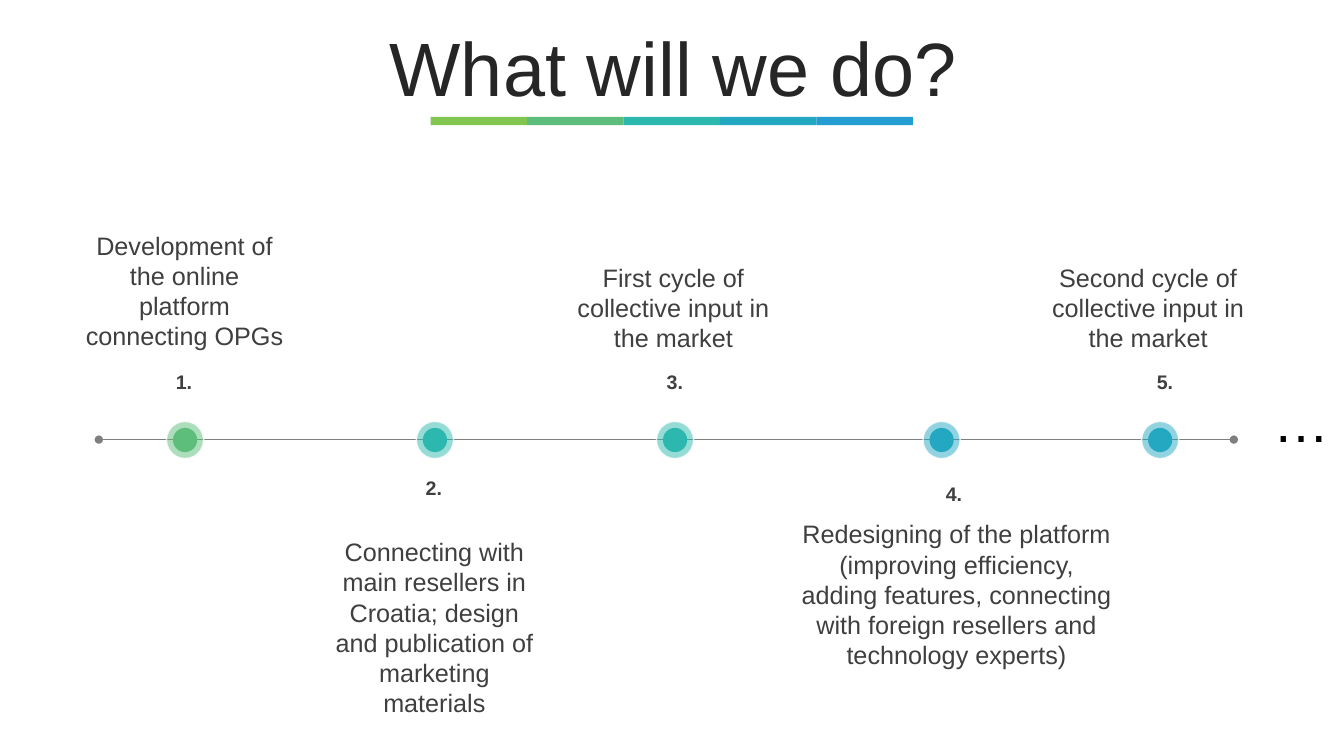
from dataclasses import dataclass

from lxml import etree
from pptx import Presentation
from pptx.dml.color import RGBColor
from pptx.enum.dml import MSO_FILL
from pptx.enum.shapes import MSO_CONNECTOR, MSO_SHAPE
from pptx.enum.text import MSO_ANCHOR, MSO_AUTO_SIZE, PP_ALIGN
from pptx.oxml.ns import qn
from pptx.shapes.autoshape import Shape
from pptx.slide import Slide
from pptx.util import Pt

STRAIGHT = MSO_CONNECTOR.STRAIGHT
RECTANGLE, OVAL = MSO_SHAPE.RECTANGLE, MSO_SHAPE.OVAL
MIDDLE = MSO_ANCHOR.MIDDLE
NO_AUTOFIT, FIT_SHAPE = MSO_AUTO_SIZE.NONE, MSO_AUTO_SIZE.SHAPE_TO_FIT_TEXT
CENTER, LEFT = PP_ALIGN.CENTER, PP_ALIGN.LEFT
SOLID = MSO_FILL.SOLID
TITLE_ONLY_LAYOUT = 5


@dataclass(frozen=True)
class Theme:
    font: str = "Arial"
    lime: str = "82C650"
    green: str = "5CBE7A"
    teal: str = "2CB8AE"
    cyan: str = "24A8C2"
    blue: str = "249ED2"
    title: str = "262626"
    text: str = "3F3F3F"
    axis: str = "7F7F7F"
    white: str = "FFFFFF"
    black: str = "000000"
    title_size: float = 54
    ellipsis_size: float = 40
    description_size: float = 18
    number_size: float = 14


@dataclass(frozen=True)
class Box:
    left: float
    top: float
    width: float
    height: float


@dataclass(frozen=True)
class Milestone:
    center: float
    color: str
    number_left: float
    number_top: float
    description: str
    description_box: Box


THEME = Theme()
AXIS_Y = 314
AXIS_START, AXIS_END = 70.6, 881.3
HALO_SIZE, CORE_SIZE = 26.6, 17.3
NUMBER_WIDTH, NUMBER_HEIGHT = 58.3, 24.2
STRIPE = Box(307.6, 83.5, 68.9, 6)
STRIPE_COLORS = (THEME.lime, THEME.green, THEME.teal, THEME.cyan, THEME.blue)

MILESTONES = (
    Milestone(132.2, THEME.green, 102.3, 260.6,
              "Development of the online platform connecting OPGs",
              Box(52.6, 160.6, 158.4, 94.3)),
    Milestone(310.7, THEME.teal, 280.8, 336.4,
              "Connecting with main resellers in Croatia; design and "
              "publication of marketing materials",
              Box(231.1, 379.6, 158.4, 138.2)),
    Milestone(482.2, THEME.teal, 452.9, 260.6,
              "First cycle of collective input in the market",
              Box(401.8, 183.8, 158.4, 72.7)),
    Milestone(672.6, THEME.cyan, 652.3, 340.4,
              "Redesigning of the platform (improving efficiency, adding "
              "features, connecting with foreign resellers and technology experts)",
              Box(563, 367, 240.5, 116)),
    Milestone(828.7, THEME.cyan, 803, 260.6,
              "Second cycle of collective input in the market",
              Box(740.9, 183.8, 158.4, 72.7)),
)


def place(shape: Shape, box: Box) -> None:
    shape.left, shape.top = Pt(box.left), Pt(box.top)
    shape.width, shape.height = Pt(box.width), Pt(box.height)


def write(shape: Shape, text: str, size: float, color: str,
          align: PP_ALIGN = CENTER, bold: bool = False) -> None:
    shape.text_frame.word_wrap = True
    paragraph = shape.text_frame.paragraphs[0]
    paragraph.text = text
    paragraph.alignment = align
    paragraph.font.name = THEME.font
    paragraph.font.size = Pt(size)
    paragraph.font.bold = bold
    paragraph.font.color.rgb = RGBColor.from_string(color)


def add_label(slide: Slide, box: Box, text: str, size: float,
              color: str = THEME.text, align: PP_ALIGN = CENTER,
              bold: bool = False) -> None:
    label = slide.shapes.add_textbox(
        Pt(box.left), Pt(box.top), Pt(box.width), Pt(box.height))
    write(label, text, size, color, align, bold)
    label.text_frame.auto_size = FIT_SHAPE


def add_filled(shapes, kind: MSO_SHAPE, box: Box, color: str) -> Shape:
    """Add a preset shape with a solid fill, no outline and no shadow."""
    shape = shapes.add_shape(
        kind, Pt(box.left), Pt(box.top), Pt(box.width), Pt(box.height))
    shape.shadow.inherit = False
    shape.fill.solid()
    shape.fill.fore_color.rgb = RGBColor.from_string(color)
    shape.line.fill.background()
    return shape


def set_opacity(fill_parent: etree._Element, percent: int) -> None:
    color = fill_parent.find(qn("a:solidFill")).find(qn("a:srgbClr"))
    etree.SubElement(color, qn("a:alpha"), val=str(percent * 1000))


def add_title(slide: Slide) -> None:
    title = slide.shapes.title
    place(title, Box(25.2, 26.6, 911.5, 56.9))
    write(title, "What will we do?", THEME.title_size, THEME.title)
    title.text_frame.auto_size = NO_AUTOFIT
    title.text_frame.vertical_anchor = MIDDLE
    title.text_frame.paragraphs[0].line_spacing = 0.7


def add_stripes(slide: Slide) -> None:
    group = slide.shapes.add_group_shape()
    for index, color in enumerate(STRIPE_COLORS):
        left = STRIPE.left + index * STRIPE.width
        add_filled(group.shapes, RECTANGLE,
                   Box(left, STRIPE.top, STRIPE.width, STRIPE.height), color)


def add_axis(slide: Slide) -> None:
    axis = slide.shapes.add_connector(
        STRAIGHT, Pt(AXIS_START), Pt(AXIS_Y), Pt(AXIS_END), Pt(AXIS_Y))
    axis.line.color.rgb = RGBColor.from_string(THEME.axis)
    axis.line.width = Pt(1.25)
    properties = axis.line._get_or_add_ln()
    for end in ("a:headEnd", "a:tailEnd"):
        etree.SubElement(properties, qn(end), type="oval")
    etree.SubElement(axis._element.spPr, qn("a:effectLst"))


def circle_box(center: float, size: float) -> Box:
    return Box(center - size / 2, AXIS_Y + 0.3 - size / 2, size, size)


def add_marker(slide: Slide, milestone: Milestone) -> None:
    group = slide.shapes.add_group_shape()
    halo = add_filled(group.shapes, OVAL,
                      circle_box(milestone.center, HALO_SIZE), milestone.color)
    set_opacity(halo._element.spPr, 50)
    halo.line.color.rgb = RGBColor.from_string(THEME.white)
    halo.line.width = Pt(1)
    set_opacity(halo.line._get_or_add_ln(), 80)
    add_filled(group.shapes, OVAL,
               circle_box(milestone.center, CORE_SIZE), milestone.color)


def main() -> None:
    presentation = Presentation()
    presentation.slide_width, presentation.slide_height = Pt(960), Pt(540)
    slide = presentation.slides.add_slide(
        presentation.slide_layouts[TITLE_ONLY_LAYOUT])
    add_title(slide)
    add_stripes(slide)
    add_axis(slide)
    for number, milestone in enumerate(MILESTONES, start=1):
        add_marker(slide, milestone)
        number_box = Box(milestone.number_left, milestone.number_top,
                         NUMBER_WIDTH, NUMBER_HEIGHT)
        add_label(slide, number_box, f"{number}.", THEME.number_size, bold=True)
        add_label(slide, milestone.description_box, milestone.description,
                  THEME.description_size)
    add_label(slide, Box(902.9, 272.9, 46.8, 55.4), "…",
              THEME.ellipsis_size, THEME.black, LEFT)
    presentation.save("out.pptx")


if __name__ == "__main__":
    main()
